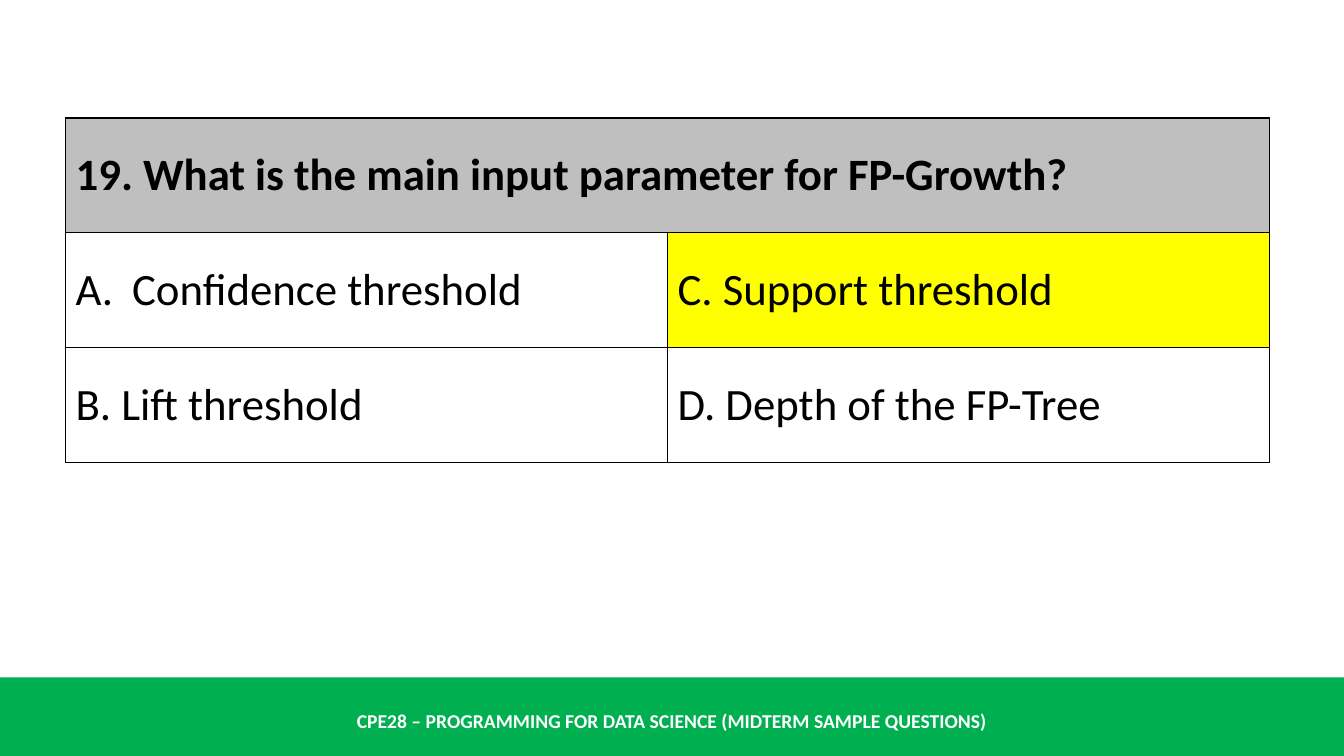
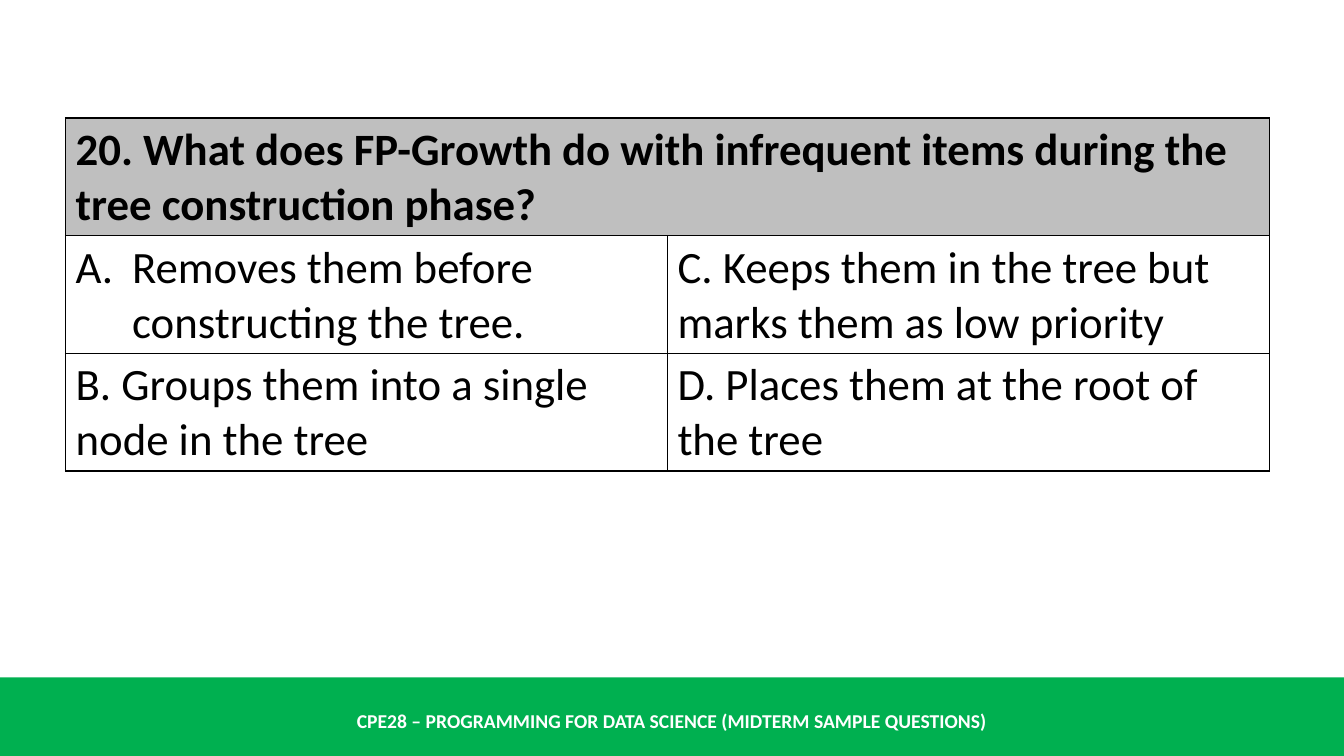
from dataclasses import dataclass
from typing import Optional

from lxml import etree
from pptx import Presentation
from pptx.dml.color import RGBColor
from pptx.enum.shapes import MSO_SHAPE
from pptx.enum.text import MSO_ANCHOR, PP_ALIGN
from pptx.oxml.ns import qn
from pptx.util import Inches, Pt

RECTANGLE = MSO_SHAPE.RECTANGLE
MIDDLE = MSO_ANCHOR.MIDDLE
CENTER = PP_ALIGN.CENTER


@dataclass(frozen=True)
class Theme:
    font: str = "Calibri"
    text: str = "000000"
    band: str = "00B050"
    band_text: str = "FFFFFF"
    question: str = "BFBFBF"
    correct: str = "FFFF00"
    border: str = "000000"
    border_pt: float = 1
    table_size: int = 32
    footer_size: int = 14


@dataclass(frozen=True)
class Question:
    text: str
    choices: tuple[str, str, str, str]  # A to D; A is numbered by its list
    correct: Optional[int] = None


THEME = Theme()
WIDTH, HEIGHT = 13.33, 7.5
BAND_TOP = 6.72
FOOTER_TOP, FOOTER_HEIGHT = 6.95, 0.4
TABLE_LEFT, TABLE_TOP = 0.65, 1.17
COLUMN, ROW = 5.97, 1.14
ROWS, COLUMNS = 3, 2
INDENT = 0.56
FOOTER = "CPE28 – PROGRAMMING FOR DATA SCIENCE (MIDTERM SAMPLE QUESTIONS)"

QUESTIONS = (
    Question(
        "19. What is the main input parameter for FP-Growth?",
        ("Confidence threshold", "B. Lift threshold",
         "C. Support threshold", "D. Depth of the FP-Tree"),
        correct=2,
    ),
    Question(
        "20. What does FP-Growth do with infrequent items during the tree "
        "construction phase?",
        ("Removes them before constructing the tree.",
         "B. Groups them into a single node in the tree",
         "C. Keeps them in the tree but marks them as low priority",
         "D. Places them at the root of the tree"),
    ),
)


def style_runs(p, size: int, color: str, bold: bool) -> None:
    for r in p.runs:
        r.font.name = THEME.font
        r.font.size = Pt(size)
        r.font.bold = bold
        r.font.color.rgb = RGBColor.from_string(color)


def add_footer(s, layout) -> None:
    """Draw the band and its caption, then move them to the shared layout."""
    band = s.shapes.add_shape(RECTANGLE, 0, Inches(BAND_TOP),
                              Inches(WIDTH), Inches(HEIGHT - BAND_TOP))
    band.shadow.inherit = False
    band.fill.solid()
    band.fill.fore_color.rgb = RGBColor.from_string(THEME.band)
    band.line.fill.background()

    caption = s.shapes.add_textbox(0, Inches(FOOTER_TOP),
                                   Inches(WIDTH), Inches(FOOTER_HEIGHT))
    tf = caption.text_frame
    tf.word_wrap = True
    tf.vertical_anchor = MIDDLE
    tf.text = FOOTER
    p = tf.paragraphs[0]
    p.alignment = CENTER
    style_runs(p, THEME.footer_size, THEME.band_text, True)

    for shape in (band, caption):
        layout.shapes.element.append(shape.element)


def add_borders(cell) -> None:
    tc_pr = cell._tc.get_or_add_tcPr()
    for i, side in enumerate(("a:lnL", "a:lnR", "a:lnT", "a:lnB")):
        ln = etree.Element(qn(side), w=str(Pt(THEME.border_pt)))
        fill = etree.SubElement(ln, qn("a:solidFill"))
        etree.SubElement(fill, qn("a:srgbClr"), val=THEME.border)
        tc_pr.insert(i, ln)


def number_paragraph(p) -> None:
    """Give the paragraph an automatic capital letter and a hanging indent."""
    p_pr = p._p.get_or_add_pPr()
    p_pr.set("marL", str(Inches(INDENT)))
    p_pr.set("indent", str(-Inches(INDENT)))
    etree.SubElement(p_pr, qn("a:buFont"), typeface="+mj-lt")
    etree.SubElement(p_pr, qn("a:buAutoNum"), type="alphaUcPeriod")


def fill_cell(cell, text: str, fill: Optional[str] = None,
              bold: bool = False, numbered: bool = False) -> None:
    cell.vertical_anchor = MIDDLE
    cell.text_frame.text = text
    p = cell.text_frame.paragraphs[0]
    if numbered:
        number_paragraph(p)
    style_runs(p, THEME.table_size, THEME.text, bold)
    if fill:
        cell.fill.solid()
        cell.fill.fore_color.rgb = RGBColor.from_string(fill)
    else:
        cell.fill.background()


def add_question(s, question: Question) -> None:
    table = s.shapes.add_table(
        ROWS, COLUMNS, Inches(TABLE_LEFT), Inches(TABLE_TOP),
        Inches(COLUMNS * COLUMN), Inches(ROWS * ROW)).table
    table.first_row = False
    table.horz_banding = False
    for column in table.columns:
        column.width = Inches(COLUMN)
    for row in table.rows:
        row.height = Inches(ROW)

    table.cell(0, 0).merge(table.cell(0, COLUMNS - 1))
    fill_cell(table.cell(0, 0), question.text, THEME.question, bold=True)
    for i, choice in enumerate(question.choices):
        column, row = divmod(i, ROWS - 1)
        fill = THEME.correct if i == question.correct else None
        fill_cell(table.cell(row + 1, column), choice, fill, numbered=i == 0)
    for cell in table.iter_cells():
        add_borders(cell)


def main() -> None:
    prs = Presentation()
    prs.slide_width, prs.slide_height = Inches(WIDTH), Inches(HEIGHT)
    layout = prs.slide_layouts.get_by_name("Blank")
    slides = [prs.slides.add_slide(layout) for _ in QUESTIONS]
    add_footer(slides[0], layout)
    for s, question in zip(slides, QUESTIONS):
        add_question(s, question)
    prs.save("out.pptx")


if __name__ == "__main__":
    main()
